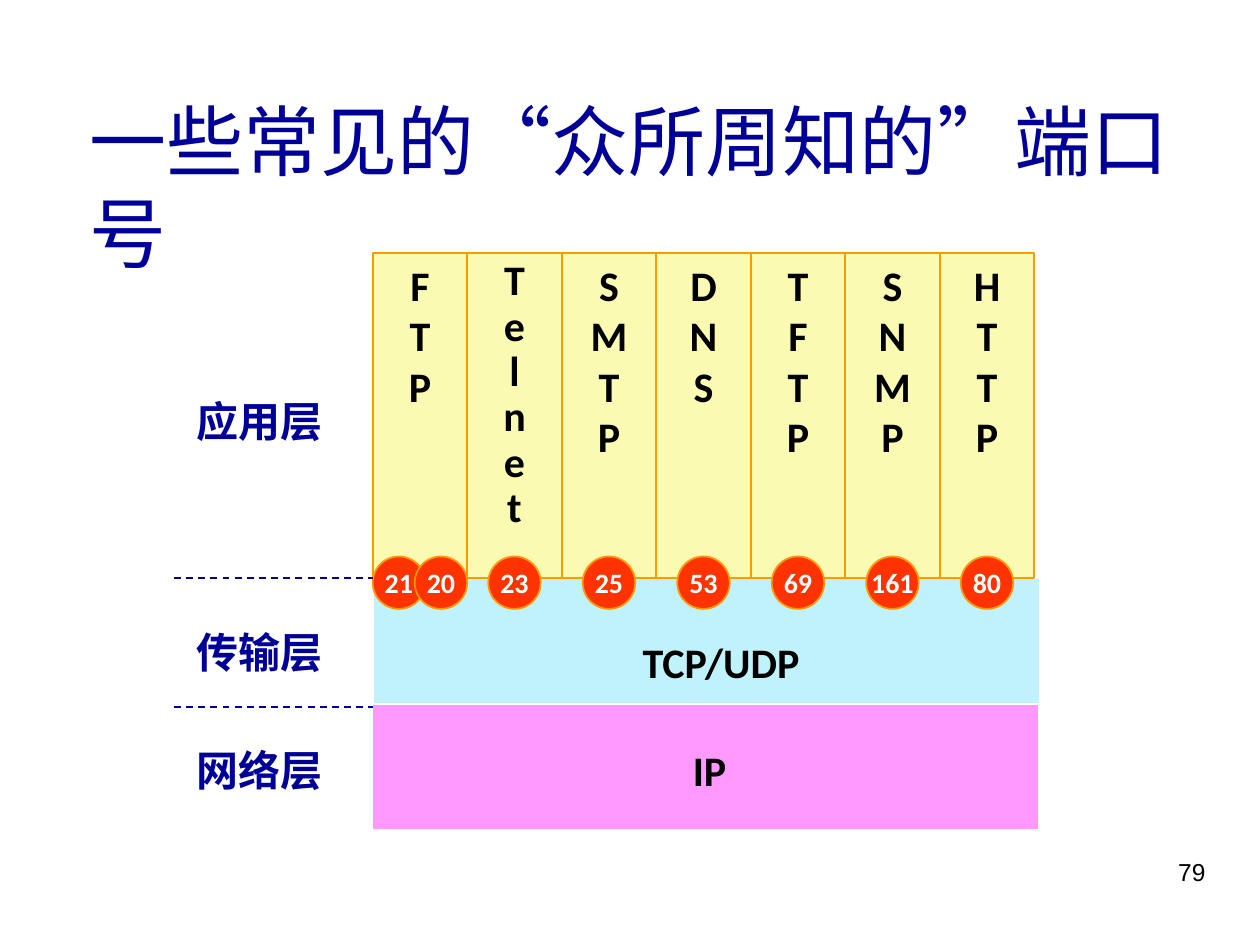
from pptx import Presentation
from pptx.dml.color import RGBColor
from pptx.enum.dml import MSO_LINE
from pptx.enum.lang import MSO_LANGUAGE_ID as LANG
from pptx.enum.shapes import MSO_CONNECTOR, MSO_SHAPE as SHAPE
from pptx.enum.text import MSO_ANCHOR as ANCHOR, MSO_AUTO_SIZE as AUTO, PP_ALIGN as ALIGN
from pptx.oxml.ns import qn
from pptx.util import Pt
from lxml import etree

NAVY, BLACK, WHITE = "000099", "000000", "FFFFFF"
ORANGE, RED, YELLOW = "FF9900", "FF3300", "FAFAB2"
CYAN, PINK = "C0F2FC", "FF99FF"

SERVICES = [
    ("FTP", [21, 20]),
    ("Telnet", [23]),
    ("SMTP", [25]),
    ("DNS", [53]),
    ("TFTP", [69]),
    ("SNMP", [161]),
    ("HTTP", [80]),
]
COL_LEFT, COL_TOP, COL_W, COL_H = 213, 144.7, 54, 185.8
PORT_D, PORT_TOP = 30, 318


def color(hex_text):
    return RGBColor.from_string(hex_text)


def write(tf, text, size=24, font="Calibri", fill=BLACK, bold=True,
          align=ALIGN.CENTER, anchor=ANCHOR.TOP, wrap=False, spacing=None):
    tf.word_wrap = wrap
    tf.vertical_anchor = anchor
    paragraphs = [text] if isinstance(text, str) else text
    for i, content in enumerate(paragraphs):
        p = tf.paragraphs[0] if i == 0 else tf.add_paragraph()
        p.alignment = align
        if spacing:
            p.line_spacing = spacing
        runs = [(content, font)] if isinstance(content, str) else content
        for words, face in runs:
            r = p.add_run()
            r.text = words
            r.font.name = face
            r.font.size = Pt(size)
            r.font.bold = bold
            r.font.color.rgb = color(fill)
            r.font.language_id = LANG.SIMPLIFIED_CHINESE


class Deck:
    line_width = 1

    def __init__(self):
        self.prs = Presentation()
        self.prs.slide_width, self.prs.slide_height = Pt(720), Pt(540)
        self.s = self.prs.slides.add_slide(self.prs.slide_layouts[6])

    def shape(self, kind, x, y, w, h, fill, line):
        sp = self.s.shapes.add_shape(kind, Pt(x), Pt(y), Pt(w), Pt(h))
        sp.shadow.inherit = False
        sp.fill.solid()
        sp.fill.fore_color.rgb = color(fill)
        sp.line.color.rgb = color(line)
        sp.line.width = Pt(self.line_width)
        return sp

    def layer(self, x, y, fill):
        self.shape(SHAPE.RECTANGLE, x, y, 381, 72, fill, WHITE)

    def column(self, x, name):
        sp = self.shape(SHAPE.RECTANGLE, x, COL_TOP, COL_W, COL_H, YELLOW, ORANGE)
        write(sp.text_frame, list(name), spacing=0.9 if len(name) > 4 else None)

    def port(self, x, number):
        sp = self.shape(SHAPE.OVAL, x, PORT_TOP, PORT_D, PORT_D, RED, ORANGE)
        write(sp.text_frame, str(number), size=16, fill=WHITE, anchor=ANCHOR.MIDDLE)

    def text(self, x, y, w, h, text, **fmt):
        tf = self.s.shapes.add_textbox(Pt(x), Pt(y), Pt(w), Pt(h)).text_frame
        write(tf, text, wrap=True, **fmt)
        tf.auto_size = AUTO.SHAPE_TO_FIT_TEXT

    def divider(self, y):
        c = self.s.shapes.add_connector(
            MSO_CONNECTOR.STRAIGHT, Pt(99.4), Pt(y), Pt(COL_LEFT), Pt(y))
        c.line.color.rgb = color(NAVY)
        c.line.width = Pt(self.line_width)
        c.line.dash_style = MSO_LINE.DASH
        etree.SubElement(c._element.spPr, qn("a:effectLst"))


def main():
    deck = Deck()
    title = [("一些常见的", "Arial"), ("“", "Comic Neue"), ("众所周知的", "Arial"),
             ("”", "Comic Neue"), ("端口号", "Arial")]
    deck.text(44, 49.7, 633.6, 113, [title], size=44, fill=NAVY, bold=False,
              align=ALIGN.LEFT)
    deck.text(516, 486, 180, 37.4, "79", size=14, font="Arial", bold=False,
              align=ALIGN.RIGHT)

    deck.layer(213.4, 330.5, CYAN)
    deck.layer(212.7, 402.5, PINK)
    for i, (name, _) in enumerate(SERVICES):
        deck.column(COL_LEFT + i * COL_W, name)
    for i, (_, ports) in enumerate(SERVICES):
        x = COL_LEFT + i * COL_W
        inset = (COL_W - PORT_D) / 2 if len(ports) == 1 else 0
        for j, number in enumerate(ports):
            deck.port(x + inset + j * (COL_W - PORT_D), number)

    for y in (330.5, 404):
        deck.divider(y)
    for y, label in ((222.5, "应用层"), (354.5, "传输层"), (422, "网络层")):
        deck.text(105, y, 90, 36, label, fill=NAVY, align=ALIGN.LEFT)
    for x, y, label in ((344, 360, "TCP/UDP"), (337.5, 422, "IP")):
        deck.text(x, y, 136, 36, label)

    deck.prs.save("out.pptx")


if __name__ == "__main__":
    main()
